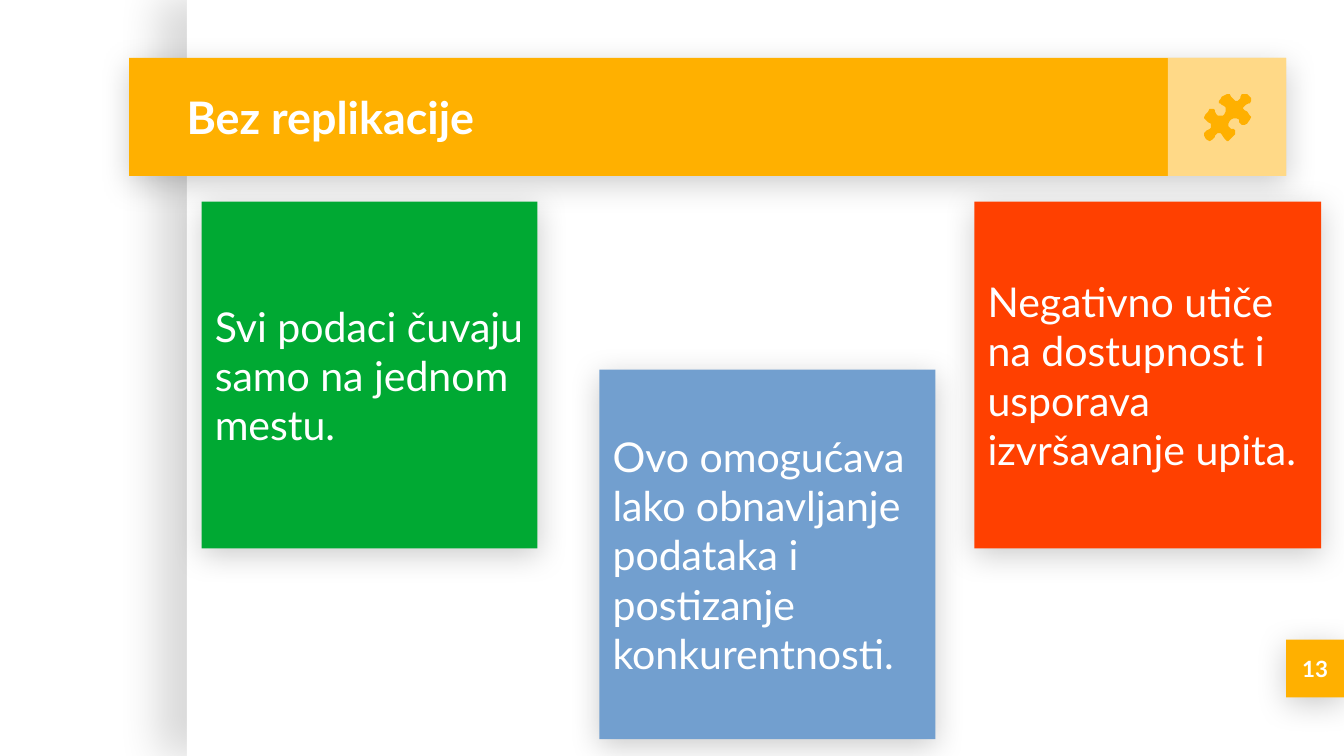
from pptx import Presentation
from pptx.dml.color import RGBColor
from pptx.enum.shapes import MSO_SHAPE as Shape
from pptx.enum.text import MSO_ANCHOR as Anchor, PP_ALIGN as Align
from pptx.oxml.ns import qn
from pptx.util import Inches, Pt
from lxml.etree import SubElement

THEME = {
    "font": "Lato",
    "white": "FFFFFF", "amber": "FFB000", "green": "00A933",
    "blue": "729FCF", "orange": "FF4000", "shade": "000000",
    "title": 24, "body": 22, "number": 12,
}
SOFT_SHADOW = {"alpha": 20, "blur": 16.9, "distance": 3.7, "angle": 90}
PANEL_SHADOW = {"alpha": 15, "blur": 22.5, "distance": 15, "angle": 180}

TITLE = "Bez replikacije"
PAGE_NUMBER = "13"
CARDS = [
    ("Svi podaci čuvaju samo na jednom mestu.", "green", (1.5, 1.5, 2.5, 2.58)),
    ("Ovo omogućava lako obnavljanje podataka i postizanje konkurentnosti.",
     "blue", (4.46, 2.75, 2.5, 2.75)),
    ("Negativno utiče na dostupnost i usporava izvršavanje upita.",
     "orange", (7.25, 1.5, 2.58, 2.58)),
]

WIDTH = 10
HEIGHT = WIDTH * 9 / 16
PANEL_LEFT = 1.39
BAR_LEFT, BAR_TOP, BAR_WIDTH, BAR_HEIGHT = 0.96, 0.43, 8.61, 0.88
BAR_RIGHT = BAR_LEFT + BAR_WIDTH
BADGE = (BAR_RIGHT, 4.76, WIDTH - BAR_RIGHT, 0.43)

PUZZLE_HUNDREDTHS = [
    (913, 70), (911, 71), (909, 72), (908, 74), (907, 75), (907, 77),
    (908, 77), (909, 78), (911, 79), (912, 80), (912, 83), (911, 85),
    (910, 86), (908, 86), (906, 86), (905, 85), (904, 83), (904, 82),
    (903, 81), (901, 81), (900, 81), (899, 83), (897, 85), (896, 87),
    (896, 88), (897, 89), (899, 91), (901, 92), (901, 93), (901, 95),
    (900, 96), (898, 97), (897, 98), (896, 99), (896, 101), (897, 103),
    (898, 104), (900, 105), (902, 104), (903, 103), (904, 102), (904, 101),
    (905, 100), (906, 99), (908, 99), (909, 100), (911, 103), (912, 104),
    (913, 105), (914, 105), (916, 103), (918, 101), (919, 100), (919, 97),
    (918, 96), (916, 96), (915, 95), (914, 94), (914, 92), (915, 90),
    (916, 89), (918, 88), (920, 88), (922, 89), (922, 91), (923, 92),
    (924, 93), (926, 93), (928, 92), (930, 89), (931, 87), (930, 86),
    (928, 83), (926, 82), (925, 81), (925, 80), (926, 79), (927, 78),
    (929, 77), (930, 77), (931, 75), (931, 73), (930, 72), (929, 71),
    (928, 70), (926, 70), (924, 70), (923, 72), (923, 73), (922, 74),
    (921, 75), (919, 75), (918, 74), (916, 72), (915, 70), (914, 70),
]


def color(name):
    return RGBColor.from_string(THEME[name])


def paint(shape, fill):
    shape.shadow.inherit = False
    shape.fill.solid()
    shape.fill.fore_color.rgb = color(fill)
    shape.line.fill.background()


def set_alpha(color_element, percent):
    SubElement(color_element, qn("a:alpha"), val=str(percent * 1000))


def add_shadow(shape, shadow):
    effects = shape._element.spPr.find(qn("a:effectLst"))
    outer = SubElement(
        effects, qn("a:outerShdw"), blurRad=str(Pt(shadow["blur"])),
        dist=str(Pt(shadow["distance"])), dir=str(shadow["angle"] * 60000),
        algn="bl", rotWithShape="0")
    tone = SubElement(outer, qn("a:srgbClr"), val=THEME["shade"])
    set_alpha(tone, shadow["alpha"])


def add_block(page, area, fill, shadow=None):
    block = page.shapes.add_shape(Shape.RECTANGLE, *map(Inches, area))
    paint(block, fill)
    if shadow:
        add_shadow(block, shadow)
    return block


def write(shape, text, size, bold=False, align=Align.LEFT):
    frame = shape.text_frame
    frame.word_wrap = True
    frame.vertical_anchor = Anchor.MIDDLE
    frame.margin_left = frame.margin_right = Inches(0.1)
    frame.margin_top = frame.margin_bottom = Inches(0.1)
    para = frame.paragraphs[0]
    para.text = text
    para.alignment = align
    para.font.name = THEME["font"]
    para.font.size = Pt(THEME[size])
    para.font.bold = bold
    para.font.color.rgb = color("white")


def add_text(page, area, *args, **style):
    write(page.shapes.add_textbox(*map(Inches, area)), *args, **style)


def add_puzzle(page):
    start, *rest = PUZZLE_HUNDREDTHS
    builder = page.shapes.build_freeform(*start, scale=Inches(0.01))
    builder.add_line_segments(rest, close=True)
    paint(builder.convert_to_shape(), "amber")


def main():
    deck = Presentation()
    deck.slide_width, deck.slide_height = Inches(WIDTH), Inches(HEIGHT)
    page = deck.slides.add_slide(deck.slide_layouts[6])

    add_block(page, (PANEL_LEFT, 0, WIDTH - PANEL_LEFT, HEIGHT), "white", PANEL_SHADOW)
    add_block(page, BADGE, "amber", SOFT_SHADOW)
    add_block(page, (BAR_LEFT, BAR_TOP, BAR_WIDTH, BAR_HEIGHT), "amber", SOFT_SHADOW)
    icon_area = (BAR_RIGHT - BAR_HEIGHT, BAR_TOP, BAR_HEIGHT, BAR_HEIGHT)
    icon_tile = add_block(page, icon_area, "white")
    set_alpha(icon_tile._element.spPr.find(qn("a:solidFill"))[0], 53)

    add_text(page, (1.29, BAR_TOP, 7.37, BAR_HEIGHT), TITLE, "title", bold=True)
    add_text(page, BADGE, PAGE_NUMBER, "number", bold=True, align=Align.CENTER)
    add_puzzle(page)

    for text, fill, area in CARDS:
        write(add_block(page, area, fill, SOFT_SHADOW), text, "body")

    deck.save("out.pptx")


if __name__ == "__main__":
    main()
